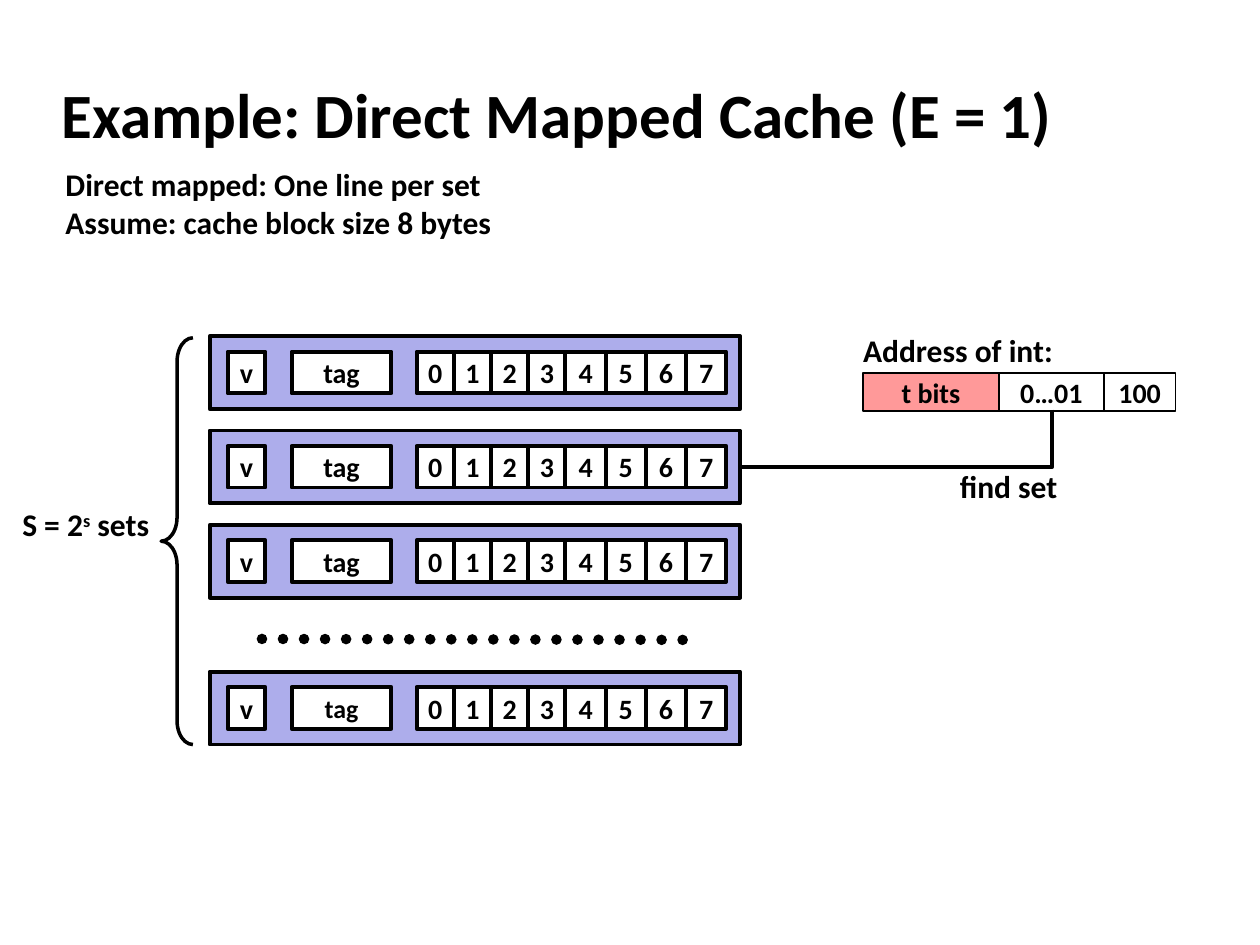
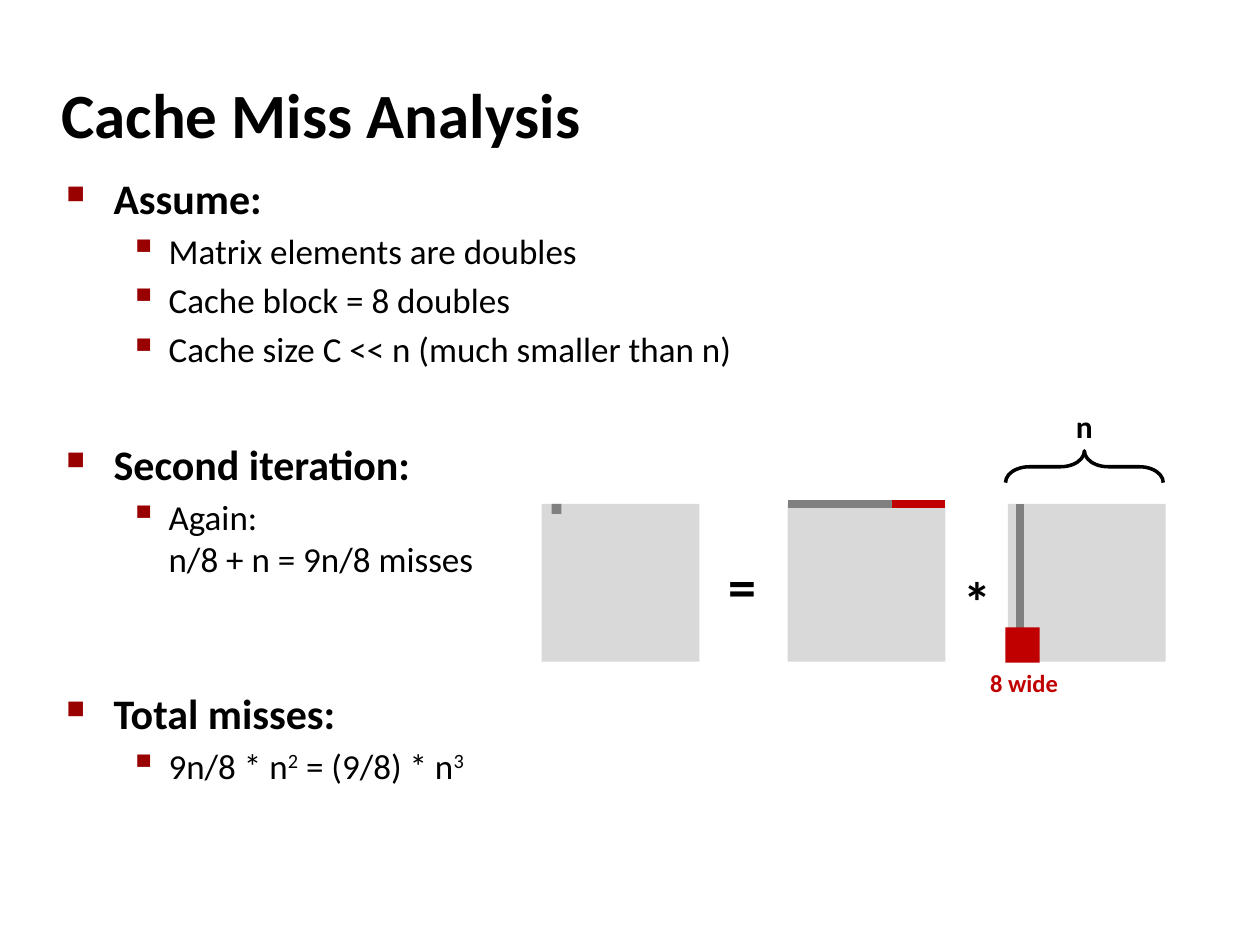
from itertools import accumulate

from lxml import etree
from pptx import Presentation
from pptx.dml.color import RGBColor
from pptx.enum.dml import MSO_LINE
from pptx.enum.shapes import MSO_CONNECTOR as CONN, MSO_SHAPE as SHAPE
from pptx.enum.text import MSO_ANCHOR as ANCHOR, MSO_AUTO_SIZE as AUTO, PP_ALIGN as ALIGN
from pptx.oxml.ns import qn
from pptx.util import Cm, Pt

BLACK = RGBColor(0x00, 0x00, 0x00)
WHITE = RGBColor(0xFF, 0xFF, 0xFF)
SET_BLUE = RGBColor(0xAD, 0xAD, 0xEB)
TAG_PINK = RGBColor(0xFF, 0x99, 0x99)
MATRIX_GRAY = RGBColor(0xD9, 0xD9, 0xD9)
USED_GRAY = RGBColor(0x80, 0x80, 0x80)
CACHED_RED = RGBColor(0xC0, 0x00, 0x00)
BULLET_RED = RGBColor(0x99, 0x00, 0x00)
FONT = "Calibri"

# Bullet levels: character, bullet size %, left margin, hanging indent, text size, bold
LEVELS = [
    ("■", 60, 0.95, 0.95, 24, True),
    ("▪", 110, 2.06, 0.79, 20, False),
]


def write(p, text, size, color=BLACK, bold=True):
    """Fill a paragraph; parts between ^ marks are superscript."""
    p.text = text.replace("^", "")
    if "^" in text:
        p.clear()
        for i, part in enumerate(text.split("^")):
            if part:
                r = p.add_run()
                r.text = part
                if i % 2:
                    r.font._element.set("baseline", "30000")
    for r in p.runs:
        r.font.name = FONT
        r.font.size = Pt(size)
        r.font.bold = bold
        r.font.color.rgb = color


def indent(p, margin, hanging):
    pPr = p._p.get_or_add_pPr()
    pPr.set("marL", str(Cm(margin)))
    pPr.set("indent", str(-Cm(hanging)))
    return pPr


def add_label(s, x, y, w, h, lines, size=18, color=BLACK):
    sp = s.shapes.add_textbox(Cm(x), Cm(y), Cm(w), Cm(h))
    tf = sp.text_frame
    tf.word_wrap = False
    tf.auto_size = AUTO.SHAPE_TO_FIT_TEXT
    for i, line in enumerate(lines.split("\n")):
        write(tf.add_paragraph() if i else tf.paragraphs[0], line, size, color)


def add_rect(s, x, y, w, h, fill, line=None, text="", size=16):
    sp = s.shapes.add_shape(SHAPE.RECTANGLE, Cm(x), Cm(y), Cm(w), Cm(h))
    sp.shadow.inherit = False
    sp.fill.solid()
    sp.fill.fore_color.rgb = fill
    if line:
        sp.line.color.rgb = BLACK
        sp.line.width = Pt(line)
    else:
        sp.line.fill.background()
    if text:
        tf = sp.text_frame
        tf.word_wrap = False
        tf.vertical_anchor = ANCHOR.MIDDLE
        tf.margin_left = tf.margin_right = 0
        write(tf.paragraphs[0], text, size)
        tf.paragraphs[0].alignment = ALIGN.CENTER


def add_brace(s, x, y, w, h, rotation=0):
    sp = s.shapes.add_shape(SHAPE.LEFT_BRACE, Cm(x), Cm(y), Cm(w), Cm(h))
    sp.shadow.inherit = False
    sp.adjustments[0] = 0.75
    sp.rotation = rotation
    sp.fill.background()
    sp.line.color.rgb = BLACK
    sp.line.width = Pt(2)


def add_line(s, x1, y1, x2, y2, color, width, kind=CONN.STRAIGHT):
    c = s.shapes.add_connector(kind, Cm(x1), Cm(y1), Cm(x2), Cm(y2))
    c.line.color.rgb = color
    c.line.width = Pt(width)
    etree.SubElement(c._element.spPr, qn("a:effectLst"))
    return c


def add_elbow(s, x1, y1, x2, y2):
    """Line going down from the first point, then left to the second."""
    cx, cy = (x1 + x2) / 2, (y1 + y2) / 2
    dx, dy = (x1 - x2) / 2, (y2 - y1) / 2
    c = add_line(s, cx - dy, cy - dx, cx + dy, cy + dx, BLACK, 2, CONN.ELBOW)
    spPr = c._element.spPr
    spPr.find(qn("a:xfrm")).set("rot", str(90 * 60000))
    spPr.find(qn("a:prstGeom")).set("prst", "bentConnector2")


def add_slide(prs, title):
    s = prs.slides.add_slide(prs.slide_layouts[6])
    sp = s.shapes.add_textbox(Cm(0.99), Cm(1.22), Cm(21.08), Cm(2.11))
    tf = sp.text_frame
    tf.word_wrap = True
    tf.vertical_anchor = ANCHOR.MIDDLE
    write(tf.paragraphs[0], title, 36)
    indent(tf.paragraphs[0], 0.33, 0.33)
    return s


def add_cache_set(s, x, y, w, h, tag_size=16):
    """One set: valid bit, tag and the eight bytes of its block."""
    add_rect(s, x, y, w, h, SET_BLUE, 2.25)
    cell_y, cell_h = y + 0.31, 0.84
    add_rect(s, x + 0.36, cell_y, 0.76, cell_h, WHITE, 2.25, "v")
    add_rect(s, x + 1.65, cell_y, 2.01, cell_h, WHITE, 2.25, "tag", tag_size)
    widths = [0.75] * 4 + [0.81] * 4
    lefts = accumulate(widths, initial=x + 4.17)
    for i, (left, width) in enumerate(zip(lefts, widths)):
        add_rect(s, left, cell_y, width, cell_h, WHITE, 2.25, str(i))


def add_cache(s, x, y, w, h):
    """Sets stacked in a box, with a brace on the left."""
    set_h, pitch = 1.47, 1.9
    add_brace(s, x - 0.98, y + 0.03, 0.64, h - 0.03)
    add_label(s, x - 4.03, y + 3.28, 3.12, 1.02, "S = 2^s^ sets")
    for i in range(3):
        add_cache_set(s, x, y + i * pitch, w, set_h)
    dots = add_line(s, x + 1.05, y + 6.1, x + 9.74, y + 6.12, BLACK, 6)
    dots.line.dash_style = MSO_LINE.ROUND_DOT
    dots.line._get_or_add_ln().set("cap", "rnd")
    add_cache_set(s, x, y + h - set_h, w, set_h, 14.8)


def add_address(s, x, y, h):
    """Address split into tag, set index and block offset."""
    add_label(s, x - 0.25, y - 0.97, 4.37, 1.02, "Address of int:")
    for text, width, fill in [("t bits", 2.74, TAG_PINK), ("0…01", 2.11, WHITE),
                              ("100", 1.45, WHITE)]:
        add_rect(s, x, y, width, h, fill, 1, text)
        x += width


def add_bullets(s, x, y, w, h, items):
    tf = s.shapes.add_textbox(Cm(x), Cm(y), Cm(w), Cm(h)).text_frame
    tf.word_wrap = True
    for i, (level, before, text) in enumerate(items):
        char, percent, margin, hanging, size, bold = LEVELS[level]
        p = tf.add_paragraph() if i else tf.paragraphs[0]
        write(p, text, size, bold=bold)
        p.level = level
        p.space_before = Pt(before)
        pPr = indent(p, margin, hanging)
        color = etree.SubElement(pPr, qn("a:buClr"))
        etree.SubElement(color, qn("a:srgbClr"), val=str(BULLET_RED))
        etree.SubElement(pPr, qn("a:buSzPct"), val=str(percent * 1000))
        etree.SubElement(pPr, qn("a:buChar"), char=char)


def add_product(s, x, y, size):
    """Matrix product: result = row matrix * column matrix."""
    row_x, col_x = x + 4.96, x + 9.4
    for left in (x, row_x, col_x):
        add_rect(s, left, y, size, size, MATRIX_GRAY)
    add_label(s, x + 3.51, y + 0.84, 1.09, 1.63, "=", 32)
    add_label(s, x + 8.26, y + 1.14, 1.09, 1.63, "*", 32)
    # Result element, row and column in use
    add_rect(s, x + 0.2, y, 0.2, 0.2, USED_GRAY)
    add_line(s, row_x, y, row_x + size, y, USED_GRAY, 4.5)
    add_line(s, col_x + 0.25, y, col_x + 0.25, y + size, USED_GRAY, 4.5)
    # Parts left in the cache
    add_line(s, row_x + 2.1, y, row_x + size, y, CACHED_RED, 4.5)
    add_rect(s, col_x - 0.05, y + 2.49, 0.69, 0.71, CACHED_RED)
    add_label(s, col_x - 0.61, y + size, 1.88, 0.86, "8 wide", 14, CACHED_RED)
    # Width of a matrix
    add_brace(s, col_x + 1.22, y - 2.34, 0.64, size, 90)
    add_label(s, col_x + 1.12, y - 2.08, 0.86, 1.02, "n")


def direct_mapped_slide(prs):
    s = add_slide(prs, "Example: Direct Mapped Cache (E = 1)")
    add_label(s, 1.07, 3.2, 9.17, 1.8,
              "Direct mapped: One line per set\nAssume: cache block size 8 bytes")
    add_cache(s, 4.23, 6.78, 10.69, 8.23)
    add_address(s, 17.4, 7.52, 0.76)
    add_elbow(s, 21.21, 8.26, 14.92, 9.42)
    add_label(s, 19.1, 9.3, 2.49, 1.02, "find set")


def miss_analysis_slide(prs):
    s = add_slide(prs, "Cache Miss Analysis")
    add_bullets(s, 1.09, 3.35, 21.95, 8.48, [
        (0, 4.8, "Assume:"),
        (1, 4, "Matrix elements are doubles"),
        (1, 4, "Cache block = 8 doubles"),
        (1, 4, "Cache size C << n (much smaller than n)"),
        (0, 39, "Second iteration:"),
        (1, 4, "Again:\vn/8 + n = 9n/8 misses"),
        (0, 61.5, "Total misses:"),
        (1, 4, "9n/8 * n^2^ = (9/8) * n^3^"),
    ])
    add_product(s, 10.92, 10.16, 3.18)


prs = Presentation()
prs.slide_width, prs.slide_height = Cm(25.4), Cm(19.05)
direct_mapped_slide(prs)
miss_analysis_slide(prs)
prs.save("out.pptx")
